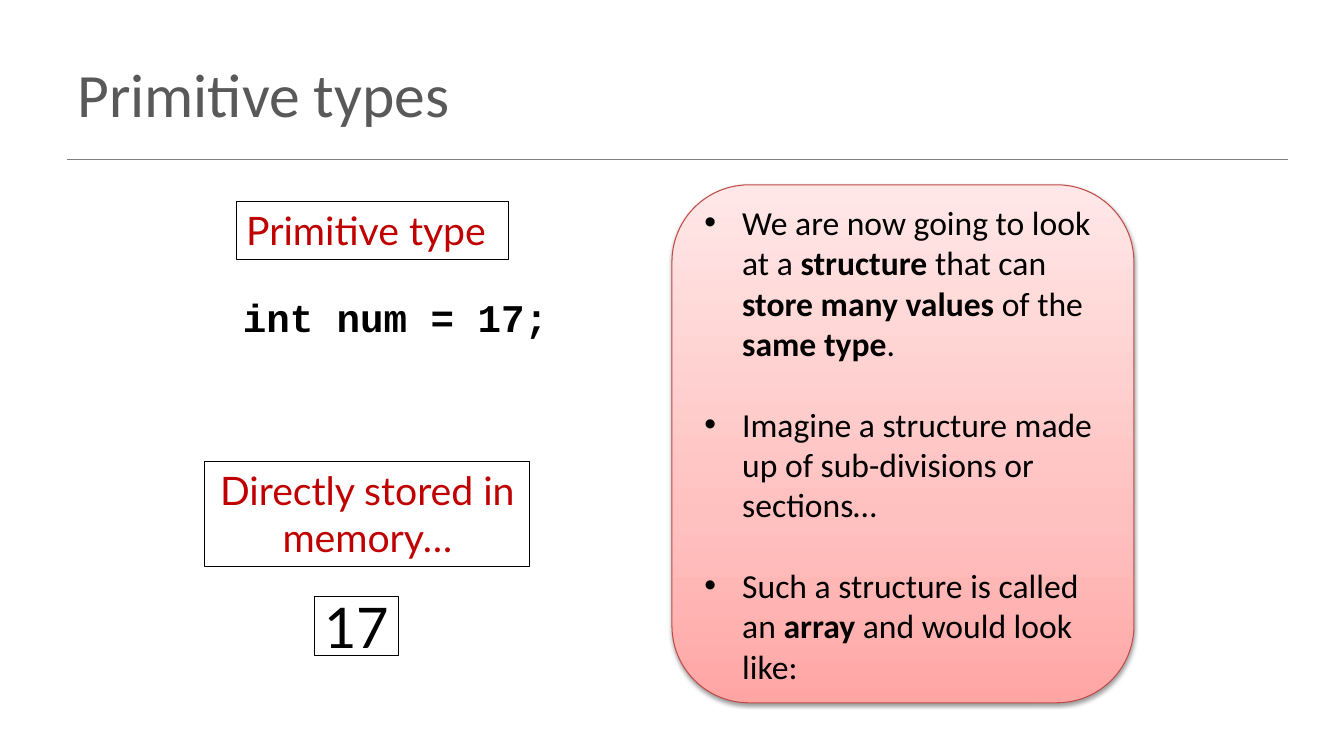
import pptx
import pptx.dml.color
import pptx.enum.shapes
import pptx.enum.text
import pptx.oxml.ns
import pptx.util
from dataclasses import dataclass
from lxml import etree

Pt = pptx.util.Pt
qn = pptx.oxml.ns.qn
Align = pptx.enum.text.PP_ALIGN
Anchor = pptx.enum.text.MSO_ANCHOR
Shape = pptx.enum.shapes.MSO_SHAPE
RED, BLACK = "C00000", "000000"


@dataclass
class Box:
    text: str
    left: float
    top: float
    width: float
    height: float
    size: float = 28
    color: str = RED
    font: str = "Lato"
    align: Align = Align.LEFT
    anchor: Anchor = Anchor.TOP
    bold: bool = False
    wrap: bool = True
    frame: bool = True


BOXES = [
    Box("17", 224.64, 426.24, 60, 42, 40, BLACK, align=Align.CENTER,
        anchor=Anchor.MIDDLE, wrap=False),
    Box("Primitive type", 168.8, 144, 194.6, 41.2),
    Box("int num = 17;", 166.4, 206, 235.4, 41.2, color=BLACK,
        font="Courier New", bold=True, frame=False),
    Box("Directly stored in memory…", 146.4, 329.6, 232, 75,
        align=Align.CENTER),
]
# Bold parts stand between asterisks
POINTS = [
    "We are now going to look at a *structure* that can "
    "*store many values *of the *same type*.",
    "Imagine a structure made up of sub-divisions or sections…",
    "Such a structure is called an *array* and would look like:",
]
STOPS = [(0, "FFA6A5"), (35, "FFC0BF"), (100, "FFE7E7")]


def rgb(code: str) -> pptx.dml.color.RGBColor:
    return pptx.dml.color.RGBColor.from_string(code)


def add(node, tag: str, **attrs):
    return etree.SubElement(node, qn(tag), attrs)


def style(par, size: float, color: str, name: str, bold=None) -> None:
    font = par.font
    font.size, font.name, font.bold = Pt(size), name, bold
    font.color.rgb = rgb(color)


def edge(line, color: str, width: float) -> None:
    line.color.rgb = rgb(color)
    line.width = Pt(width)


def draw_box(slide, box: Box) -> None:
    place = [Pt(n) for n in (box.left, box.top, box.width, box.height)]
    if box.frame:
        shape = slide.shapes.add_shape(Shape.RECTANGLE, *place)
        shape.shadow.inherit = False
        shape.fill.background()
        edge(shape.line, BLACK, 0.75)
    else:
        shape = slide.shapes.add_textbox(*place)
    frame = shape.text_frame
    frame.word_wrap = box.wrap
    frame.vertical_anchor = box.anchor
    par = frame.paragraphs[0]
    par.text, par.alignment = box.text, box.align
    style(par, box.size, box.color, box.font, box.bold)


def draw_panel(slide) -> None:
    panel = slide.shapes.add_shape(
        Shape.ROUNDED_RECTANGLE, Pt(480), Pt(132), Pt(330), Pt(370))
    edge(panel.line, "BF4C48", 0.75)

    # Gradient from bottom to top
    panel.fill.gradient()
    panel.fill.gradient_angle = 90
    props = panel.element.spPr
    stops = props.find(".//" + qn("a:gsLst"))
    stops.clear()
    for pos, code in STOPS:
        stop = add(stops, "a:gs", pos=str(pos * 1000))
        add(stop, "a:srgbClr", val=code)

    # Soft shadow below
    panel.shadow.inherit = False
    shade = add(props.find(qn("a:effectLst")), "a:outerShdw",
                blurRad=str(Pt(3.1)), dist=str(Pt(1.6)), dir="5400000",
                rotWithShape="0")
    tint = add(shade, "a:srgbClr", val=BLACK)
    add(tint, "a:alpha", val="38000")

    # Bullet points
    frame = panel.text_frame
    frame.word_wrap = True
    frame.vertical_anchor = Anchor.MIDDLE
    for num, point in enumerate(POINTS):
        par = frame.add_paragraph() if num else frame.paragraphs[0]
        par.alignment = Align.LEFT
        if num:
            par.space_before = Pt(28.8)
        ppr = par._p.get_or_add_pPr()
        ppr.set("marL", str(Pt(27)))
        ppr.set("indent", str(-Pt(27)))
        add(ppr, "a:buFont", typeface="Arial")
        add(ppr, "a:buChar", char="•")
        style(par, 24, BLACK, "Calibri")
        for part, text in enumerate(point.split("*")):
            run = par.add_run()
            run.text = text
            run.font.bold = part % 2 == 1


def main() -> None:
    deck = pptx.Presentation()
    deck.slide_width, deck.slide_height = Pt(960), Pt(540)
    slide = deck.slides.add_slide(deck.slide_layouts[5])

    # Title and rule
    title = slide.shapes.title
    title.left, title.top = Pt(48), Pt(21.6)
    title.width, title.height = Pt(864), Pt(90)
    frame = title.text_frame
    frame.vertical_anchor = Anchor.MIDDLE
    par = frame.paragraphs[0]
    par.text, par.alignment = "Primitive types", Align.LEFT
    style(par, 44, "595959", "Calibri")
    rule = slide.shapes.add_connector(
        pptx.enum.shapes.MSO_CONNECTOR.STRAIGHT,
        Pt(48), Pt(114), Pt(920), Pt(114))
    edge(rule.line, "808080", 1)
    add(rule.element.spPr, "a:effectLst")

    # Left column and panel
    for box in BOXES:
        draw_box(slide, box)
    draw_panel(slide)
    deck.save("out.pptx")


if __name__ == "__main__":
    main()
